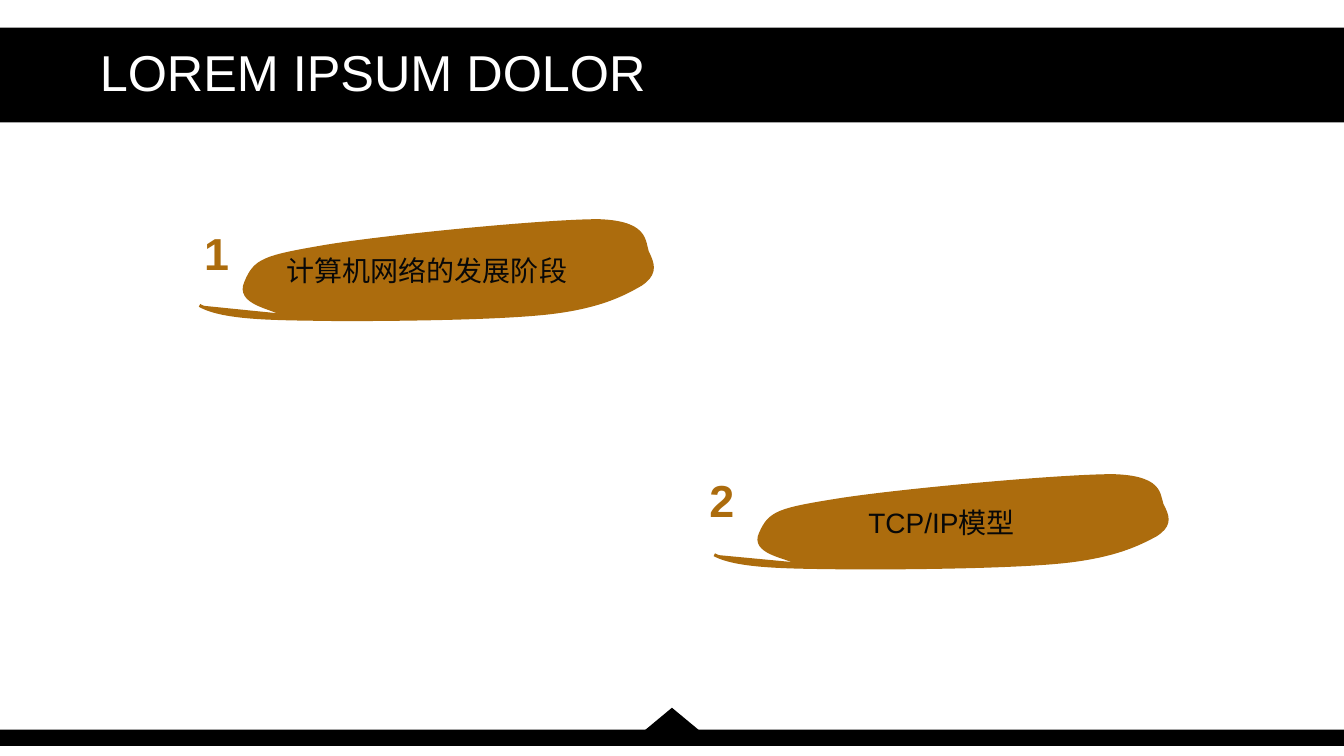
import lxml.etree
import pptx
import pptx.util
import pptx.dml.color
import pptx.enum.shapes
import pptx.enum.text
import pptx.oxml.ns

Inches = pptx.util.Inches
RGBColor = pptx.dml.color.RGBColor
MSO_SHAPE = pptx.enum.shapes.MSO_SHAPE
PP_ALIGN = pptx.enum.text.PP_ALIGN
MSO_ANCHOR = pptx.enum.text.MSO_ANCHOR
qn = pptx.oxml.ns.qn

BLACK = RGBColor(0x00, 0x00, 0x00)
WHITE = RGBColor(0xFF, 0xFF, 0xFF)
INK = RGBColor(0x08, 0x08, 0x08)
OCHRE = RGBColor(0xAC, 0x6C, 0x0D)

# The slide is a grid of 100 columns by 100 rows
WIDTH, HEIGHT = Inches(13.33), Inches(7.5)
BAR = (0, 3.65, 100, 12.53)
TITLE = (6.9, 3.65, 86.27, 12.53)
FOOTER = (0, 96.53, 100, 2.13)
NOTCH = (48, 93.62, 4, 2.95)

# Label, brush stroke box, top left corner of the number
TOPICS = [
    ("计算机网络的发展阶段", (14.85, 29.2, 33.83, 13.07), (13.05, 29.2)),
    ("TCP/IP模型", (53.15, 62.93, 33.83, 12.2), (50.64, 61.87)),
]
NUMBER_SIZE = (6.15, 15.6)

# Brush stroke in percent of its box: a start, then three points per curve
BRUSH_START = (0, 85.7)
BRUSH_CURVES = [
    ((5.5, 100), (17.7, 99), (30.6, 100)),
    ((43.5, 100), (66.3, 99), (77.4, 92.9)),
    ((88.5, 86.7), (93.6, 73.5), (97.1, 64.3)),
    ((100, 55.1), (100, 46.9), (98.9, 35.7)),
    ((97.3, 25.5), (99.8, 2), (87.8, 0)),
    ((75.8, 0), (39.9, 16.3), (27.1, 26.5)),
    ((14.2, 36.7), (12.2, 39.8), (10.2, 62.2)),
    ((8, 83.7), (16.2, 87.8), (17.7, 93.9)),
]


def place(box):
    """Turn columns and rows into slide lengths."""
    left, top, width, height = box
    return (round(left * WIDTH / 100), round(top * HEIGHT / 100),
            round(width * WIDTH / 100), round(height * HEIGHT / 100))


def write_text(shape, text, size, color, bold=False, align=PP_ALIGN.CENTER,
               anchor=MSO_ANCHOR.MIDDLE, margins=(0.1, 0.05), line_spacing=None):
    frame = shape.text_frame
    frame.word_wrap = True
    frame.vertical_anchor = anchor
    frame.margin_left = frame.margin_right = Inches(margins[0])
    frame.margin_top = frame.margin_bottom = Inches(margins[1])
    paragraph = frame.paragraphs[0]
    paragraph.alignment = align
    paragraph.line_spacing = line_spacing
    run = paragraph.add_run()
    run.text = text
    run.font.name = "Arial"
    run.font.size = pptx.util.Pt(size)
    run.font.bold = bold
    run.font.color.rgb = color


def paint(shape, color):
    shape.shadow.inherit = False
    shape.fill.solid()
    shape.fill.fore_color.rgb = color


def add_block(shapes, kind, box):
    shape = shapes.add_shape(kind, *place(box))
    paint(shape, BLACK)
    shape.line.fill.background()


def add_text(shapes, box, text, **text_format):
    write_text(shapes.add_textbox(*place(box)), text, **text_format)


def bend_segments(shape):
    """Turn each three line segments of a freeform into one Bezier curve."""
    outline = next(shape.element.iter(qn("a:path")))
    segments = outline.findall(qn("a:lnTo"))
    for first in range(0, len(segments), 3):
        curve = lxml.etree.SubElement(outline, qn("a:cubicBezTo"))
        for segment in segments[first:first + 3]:
            curve.append(segment[0])
            outline.remove(segment)


def add_brush(shapes, box, label):
    left, top, width, height = place(box)
    start, *points = [
        (round(left + x * width / 100), round(top + y * height / 100))
        for x, y in [BRUSH_START, *sum(BRUSH_CURVES, ())]]
    builder = shapes.build_freeform(*start)
    builder.add_line_segments(points, close=False)
    shape = builder.convert_to_shape()
    bend_segments(shape)
    paint(shape, OCHRE)
    shape.line.color.rgb = OCHRE
    shape.line.width = pptx.util.Pt(2.25)
    write_text(shape, label, size=20, color=INK)


def main():
    presentation = pptx.Presentation()
    presentation.slide_width, presentation.slide_height = WIDTH, HEIGHT
    slide = presentation.slides.add_slide(presentation.slide_layouts[6])

    # Header bar, and footer grouped with its notch
    add_block(slide.shapes, MSO_SHAPE.RECTANGLE, BAR)
    footer = slide.shapes.add_group_shape()
    add_block(footer.shapes, MSO_SHAPE.RECTANGLE, FOOTER)
    add_block(footer.shapes, MSO_SHAPE.ISOSCELES_TRIANGLE, NOTCH)

    # Numbered topics, one group each
    for number, (label, brush_box, number_corner) in enumerate(TOPICS, 1):
        topic = slide.shapes.add_group_shape()
        add_brush(topic.shapes, brush_box, label)
        add_text(topic.shapes, number_corner + NUMBER_SIZE, str(number), size=32,
                 color=OCHRE, bold=True, anchor=MSO_ANCHOR.TOP)

    # Title
    add_text(slide.shapes, TITLE, "LOREM IPSUM DOLOR", size=36, color=WHITE,
             align=PP_ALIGN.LEFT, margins=(0.07, 0.04), line_spacing=0.9)

    presentation.save("out.pptx")


if __name__ == "__main__":
    main()
